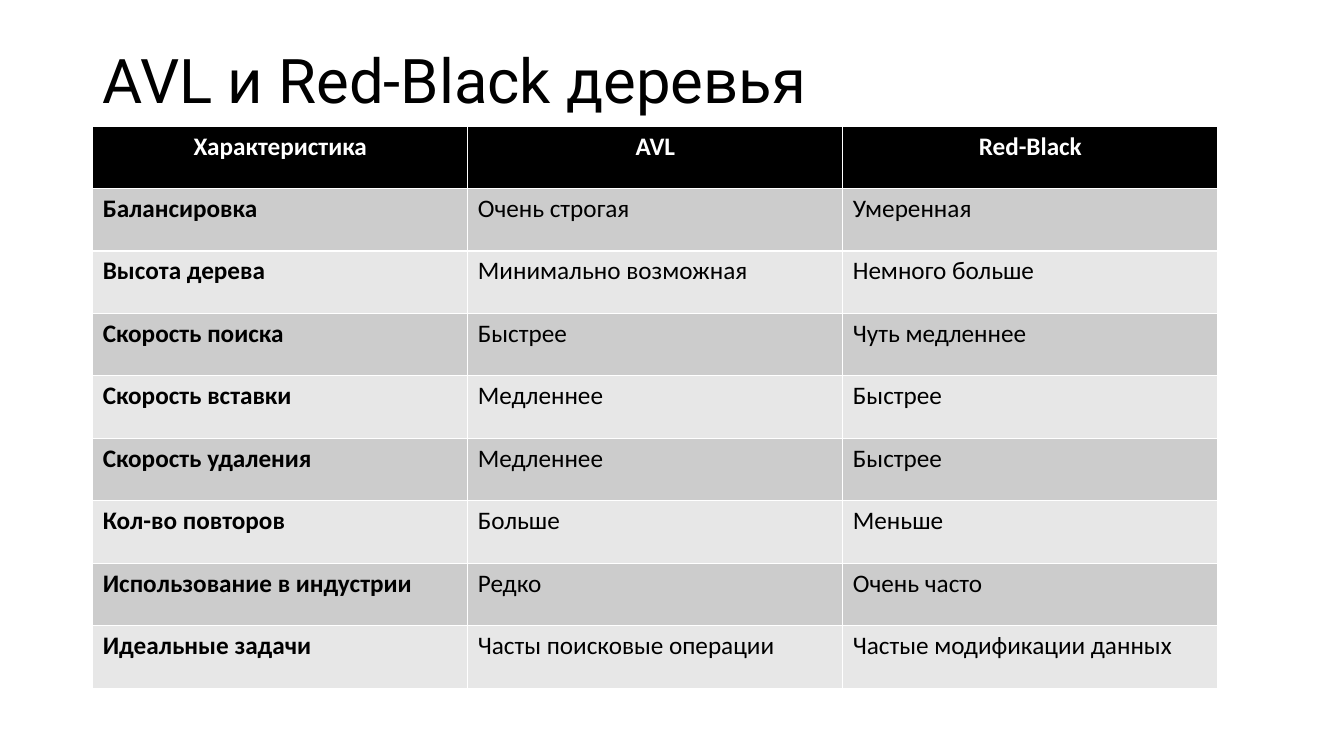
from dataclasses import dataclass

from pptx import Presentation
from pptx.dml.color import RGBColor as Rgb
from pptx.enum.text import MSO_ANCHOR as Anchor, PP_ALIGN as Align
from pptx.slide import Slide
from pptx.table import _Cell as Cell
from pptx.text.text import _Paragraph as Paragraph
from pptx.util import Inches, Pt

COLORS = {"black": "000000", "white": "FFFFFF", "dark_band": "CCCCCC", "light_band": "E7E7E7"}
LEFT = 0.92
TABLE_TOP = 1.25
COLUMN = 3.72
ROW = 0.62
TITLE = "AVL и Red-Black деревья"


@dataclass(frozen=True)
class Comparison:
    feature: str
    avl: str
    red_black: str

    def texts(self) -> tuple[str, str, str]:
        return self.feature, self.avl, self.red_black


@dataclass(frozen=True)
class TextStyle:
    font: str
    size: float
    color: str = "black"
    bold: bool = False
    align: Align = Align.LEFT


COMPARISONS = [
    Comparison("Характеристика", "AVL", "Red-Black"),
    Comparison("Балансировка", "Очень строгая", "Умеренная"),
    Comparison("Высота дерева", "Минимально возможная", "Немного больше"),
    Comparison("Скорость поиска", "Быстрее", "Чуть медленнее"),
    Comparison("Скорость вставки", "Медленнее", "Быстрее"),
    Comparison("Скорость удаления", "Медленнее", "Быстрее"),
    Comparison("Кол-во повторов", "Больше", "Меньше"),
    Comparison("Использование в индустрии", "Редко", "Очень часто"),
    Comparison("Идеальные задачи", "Часты поисковые операции", "Частые модификации данных"),
]

TITLE_STYLE = TextStyle("Roboto", 44)
HEADER_STYLE = TextStyle("Calibri", 18, "white", True, Align.CENTER)
FEATURE_STYLE = TextStyle("Calibri", 18, bold=True)
VALUE_STYLE = TextStyle("Calibri", 18)


def write(paragraph: Paragraph, text: str, style: TextStyle) -> None:
    paragraph.alignment = style.align
    run = paragraph.add_run()
    run.text = text
    formats = {"name": style.font, "size": Pt(style.size), "bold": style.bold}
    for attribute, value in formats.items():
        setattr(run.font, attribute, value)
    run.font.color.rgb = Rgb.from_string(COLORS[style.color])


def add_title(slide: Slide) -> None:
    shape = slide.shapes.add_textbox(Inches(LEFT), Inches(0.4), Inches(11.5), Inches(0.85))
    frame = shape.text_frame
    for attribute, value in {"word_wrap": True, "vertical_anchor": Anchor.MIDDLE}.items():
        setattr(frame, attribute, value)
    paragraph = frame.paragraphs[0]
    paragraph.line_spacing = 0.9
    write(paragraph, TITLE, TITLE_STYLE)


def fill_cell(cell: Cell, text: str, fill: str, style: TextStyle) -> None:
    cell.fill.solid()
    cell.fill.fore_color.rgb = Rgb.from_string(COLORS[fill])
    write(cell.text_frame.paragraphs[0], text, style)


def add_comparison_table(slide: Slide) -> None:
    row_count, column_count = len(COMPARISONS), len(COMPARISONS[0].texts())
    table = slide.shapes.add_table(
        row_count, column_count, Inches(LEFT), Inches(TABLE_TOP),
        Inches(COLUMN * column_count), Inches(ROW * row_count),
    ).table
    for row_index, comparison in enumerate(COMPARISONS):
        band = "dark_band" if row_index % 2 else "light_band"
        for column_index, text in enumerate(comparison.texts()):
            body_style = VALUE_STYLE if column_index else FEATURE_STYLE
            fill, style = (band, body_style) if row_index else ("black", HEADER_STYLE)
            fill_cell(table.cell(row_index, column_index), text, fill, style)


def main() -> None:
    presentation = Presentation()
    presentation.slide_width = Inches(13.33)
    presentation.slide_height = Inches(7.5)
    slide = presentation.slides.add_slide(presentation.slide_layouts[6])
    add_title(slide)
    add_comparison_table(slide)
    presentation.save("out.pptx")


if __name__ == "__main__":
    main()
